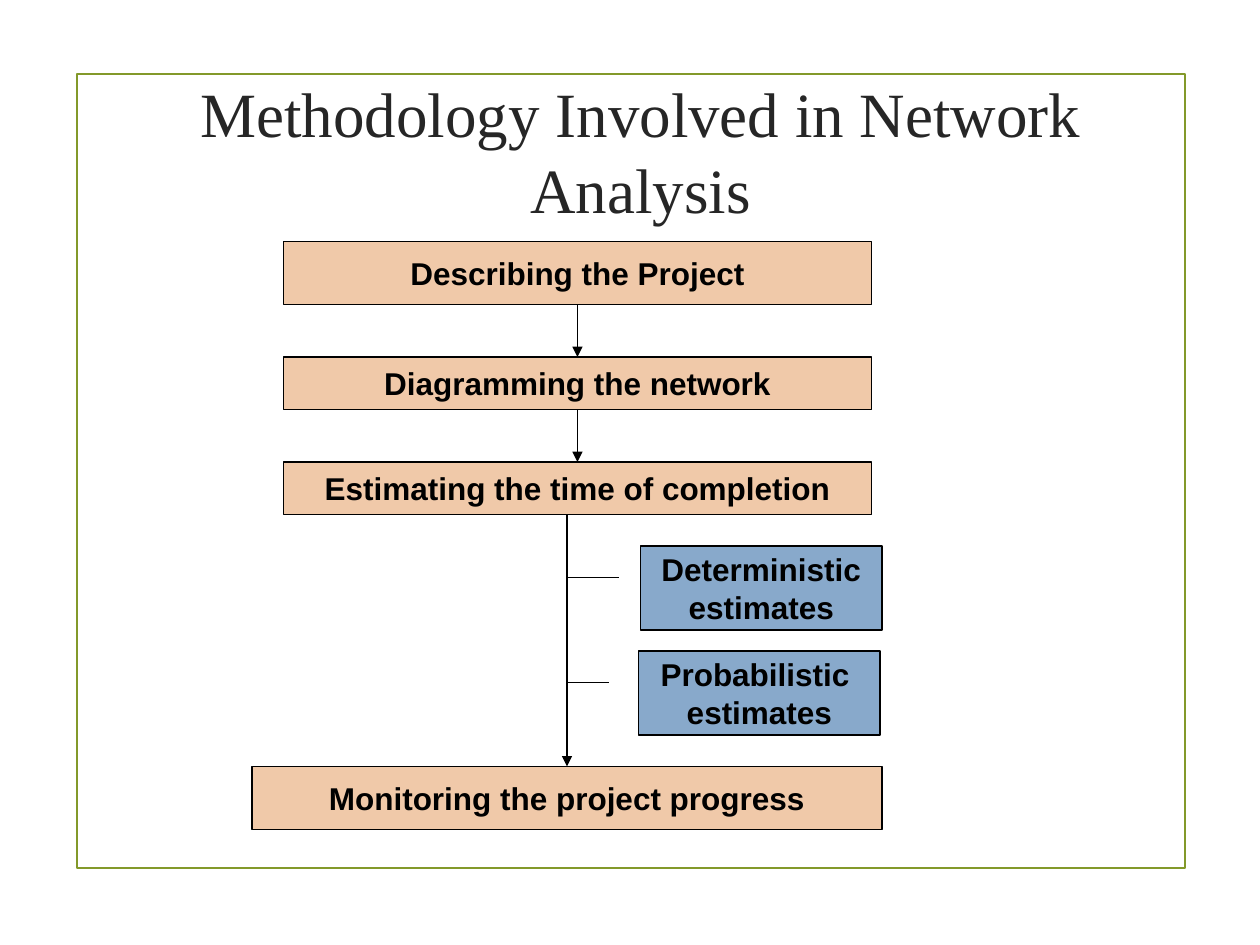
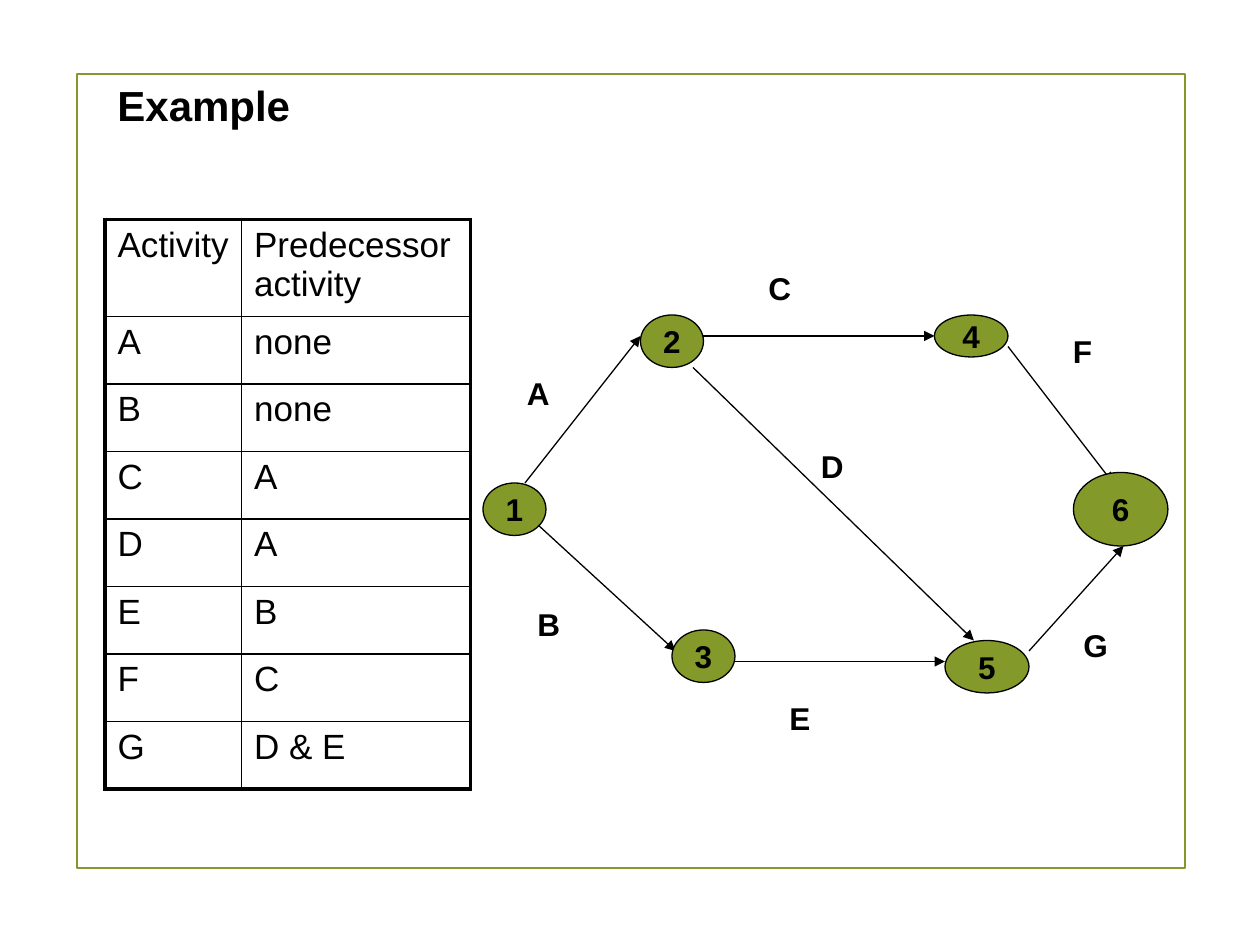
"""Builds two slides on network analysis: its methodology and a worked example."""
import pptx
import pptx.dml.color
import pptx.enum.shapes
import pptx.enum.text
import pptx.oxml
import pptx.oxml.ns
import pptx.util
from lxml import etree

Pt = pptx.util.Pt
SHAPE = pptx.enum.shapes.MSO_SHAPE
ALIGN = pptx.enum.text.PP_ALIGN
ANCHOR = pptx.enum.text.MSO_ANCHOR

BLACK, OLIVE, PEACH, BLUE, CHARCOAL = "000000", "83992A", "F0C9A9", "88A9CB", "262626"
FRAME = (44, 42.5, 633, 453.5)
THIN, THICK = 1, 2.25

TITLE_FONT = {"name": "Times New Roman", "size": Pt(36), "bold": False}
HEADING_FONT = {"name": "Arial", "size": Pt(24), "bold": True}
LABEL_FONT = {"name": "Arial", "size": Pt(18), "bold": True}
TABLE_FONT = {"name": "Arial", "size": Pt(20), "bold": False}

TITLE = "Methodology Involved in Network Analysis"
STEPS = [
    ("Describing the Project", (162, 138, 336, 36)),
    ("Diagramming the network", (162, 204, 336, 30)),
    ("Estimating the time of completion", (162, 264, 336, 30)),
    ("Monitoring the project progress", (144, 438, 360, 36)),
]
ESTIMATES = [
    ("Deterministic\nestimates", (366, 312, 138, 48), 354),
    ("Probabilistic \nestimates", (365, 372, 138, 48), 348),
]
STEM_X, STEM_TOP, STEM_JOINT, STEM_BOTTOM = 324, 294, 402, 438
BRANCH_DROP = 18

HEADING = "Example"
PREDECESSORS = [
    ("Activity", "Predecessor activity"),
    ("A", "none"),
    ("B", "none"),
    ("C", "A"),
    ("D", "A"),
    ("E", "B"),
    ("F", "C"),
    ("G", "D & E"),
]
TABLE_LEFT, TABLE_TOP = 60, 125.3
COLUMN_WIDTHS = (78, 131)
HEADER_HEIGHT, ROW_HEIGHT = 55.5, 38.6

EVENTS = {
    "1": (276, 276, 36, 30),
    "2": (366, 180, 36, 30),
    "3": (384, 360, 36, 30),
    "4": (534, 180, 42, 24),
    "5": (540, 366, 48, 30),
    "6": (613.4, 270, 54, 42),
}
ACTIVITIES = [
    ("A", (300, 276), (366, 192), (294, 210, 54)),
    ("B", (307.5, 300), (386, 372), (300, 342, 54)),
    ("C", (402, 192), (534, 192), (432, 150, 54)),
    ("D", (396, 210), (556.5, 366), (462, 252, 66)),
    ("E", (420, 378), (540, 378), (444, 396, 60)),
    ("F", (576, 198), (636, 276), (606, 186, 60)),
    ("G", (588, 372), (642, 312), (612, 354, 42)),
]
LABEL_HEIGHT = 29


def color(hex_string):
    return pptx.dml.color.RGBColor.from_string(hex_string)


def write(frame, text, font, ink=BLACK, align=ALIGN.LEFT, anchor=ANCHOR.TOP, wrap=True):
    frame.word_wrap = wrap
    frame.vertical_anchor = anchor
    for index, line in enumerate(text.split("\n")):
        para = frame.paragraphs[0] if index == 0 else frame.add_paragraph()
        para.alignment = align
        span = para.add_run()
        span.text = line
        for name, value in font.items():
            setattr(span.font, name, value)
        span.font.color.rgb = color(ink)


def add_text(page, place, text, font, **layout):
    box = page.shapes.add_textbox(*map(Pt, place))
    write(box.text_frame, text, font, **layout)


def add_box(page, kind, place, fill=None, line=BLACK, width=0.75, text=None):
    box = page.shapes.add_shape(kind, *map(Pt, place))
    box.shadow.inherit = False
    if fill:
        box.fill.solid()
        box.fill.fore_color.rgb = color(fill)
    else:
        box.fill.background()
    box.line.color.rgb = color(line)
    box.line.width = Pt(width)
    if text:
        write(box.text_frame, text, LABEL_FONT, align=ALIGN.CENTER,
              anchor=ANCHOR.MIDDLE, wrap=False)
    return box


def add_line(page, start, end, arrow=True):
    line = page.shapes.add_connector(
        pptx.enum.shapes.MSO_CONNECTOR.STRAIGHT, *map(Pt, (*start, *end)))
    line.line.color.rgb = color(BLACK)
    line.line.width = Pt(0.75)
    properties = line._element.spPr
    if arrow:
        outline = properties.find(pptx.oxml.ns.qn("a:ln"))
        etree.SubElement(outline, pptx.oxml.ns.qn("a:tailEnd"), type="triangle")
    etree.SubElement(properties, pptx.oxml.ns.qn("a:effectLst"))
    return line


def set_borders(cell, widths):
    properties = cell._tc.get_or_add_tcPr()
    for side, width in widths.items():
        properties.append(pptx.oxml.parse_xml(
            f'<a:ln{side} {pptx.oxml.ns.nsdecls("a")} w="{int(Pt(width))}"><a:solidFill>'
            f'<a:srgbClr val="{BLACK}"/></a:solidFill></a:ln{side}>'))


def add_page(deck):
    page = deck.slides.add_slide(deck.slide_layouts[6])
    add_box(page, SHAPE.RECTANGLE, FRAME, line=OLIVE, width=1.25)
    return page


def build_methodology(deck):
    page = add_page(deck)
    add_text(page, (84, 60, 564, 52), TITLE, TITLE_FONT, ink=CHARCOAL,
             align=ALIGN.CENTER, anchor=ANCHOR.MIDDLE)
    steps = [add_box(page, SHAPE.RECTANGLE, place, PEACH, text=text) for text, place in STEPS]
    for upper, lower in zip(steps[:2], steps[1:3]):
        arrow = add_line(page, (0, 0), (0, 0))
        arrow.begin_connect(upper, 2)
        arrow.end_connect(lower, 0)
    add_line(page, (STEM_X, STEM_TOP), (STEM_X, STEM_JOINT), arrow=False)
    stem_arrow = add_line(page, (STEM_X, STEM_JOINT), (STEM_X, STEM_BOTTOM))
    stem_arrow.end_connect(steps[3], 0)
    for text, place, branch_end in ESTIMATES:
        branch_y = place[1] + BRANCH_DROP
        add_line(page, (STEM_X, branch_y), (branch_end, branch_y), arrow=False)
        add_box(page, SHAPE.RECTANGLE, place, BLUE, text=text)


def add_predecessor_table(page):
    last_row, last_column = len(PREDECESSORS) - 1, len(COLUMN_WIDTHS) - 1
    height = HEADER_HEIGHT + last_row * ROW_HEIGHT
    table = page.shapes.add_table(
        last_row + 1, last_column + 1,
        *map(Pt, (TABLE_LEFT, TABLE_TOP, sum(COLUMN_WIDTHS), height))).table
    table.first_row = table.horz_banding = False
    for column, width in zip(table.columns, COLUMN_WIDTHS):
        column.width = Pt(width)
    for r, values in enumerate(PREDECESSORS):
        table.rows[r].height = Pt(ROW_HEIGHT if r else HEADER_HEIGHT)
        for c, text in enumerate(values):
            cell = table.cell(r, c)
            write(cell.text_frame, text, TABLE_FONT)
            set_borders(cell, {
                "L": THIN if c else THICK,
                "R": THICK if c == last_column else THIN,
                "T": THIN if r else THICK,
                "B": THICK if r == last_row else THIN,
            })
            cell.fill.background()


def build_example(deck):
    page = add_page(deck)
    add_text(page, (60, 42, 528, 36), HEADING, HEADING_FONT)
    add_predecessor_table(page)
    for name, start, end, (left, top, width) in ACTIVITIES:
        add_line(page, start, end)
        add_text(page, (left, top, width, LABEL_HEIGHT), name, LABEL_FONT)
    for name, place in EVENTS.items():
        add_box(page, SHAPE.OVAL, place, OLIVE, text=name)


def main():
    deck = pptx.Presentation()
    deck.slide_width, deck.slide_height = Pt(720), Pt(540)
    build_methodology(deck)
    build_example(deck)
    deck.save("out.pptx")


if __name__ == "__main__":
    main()
